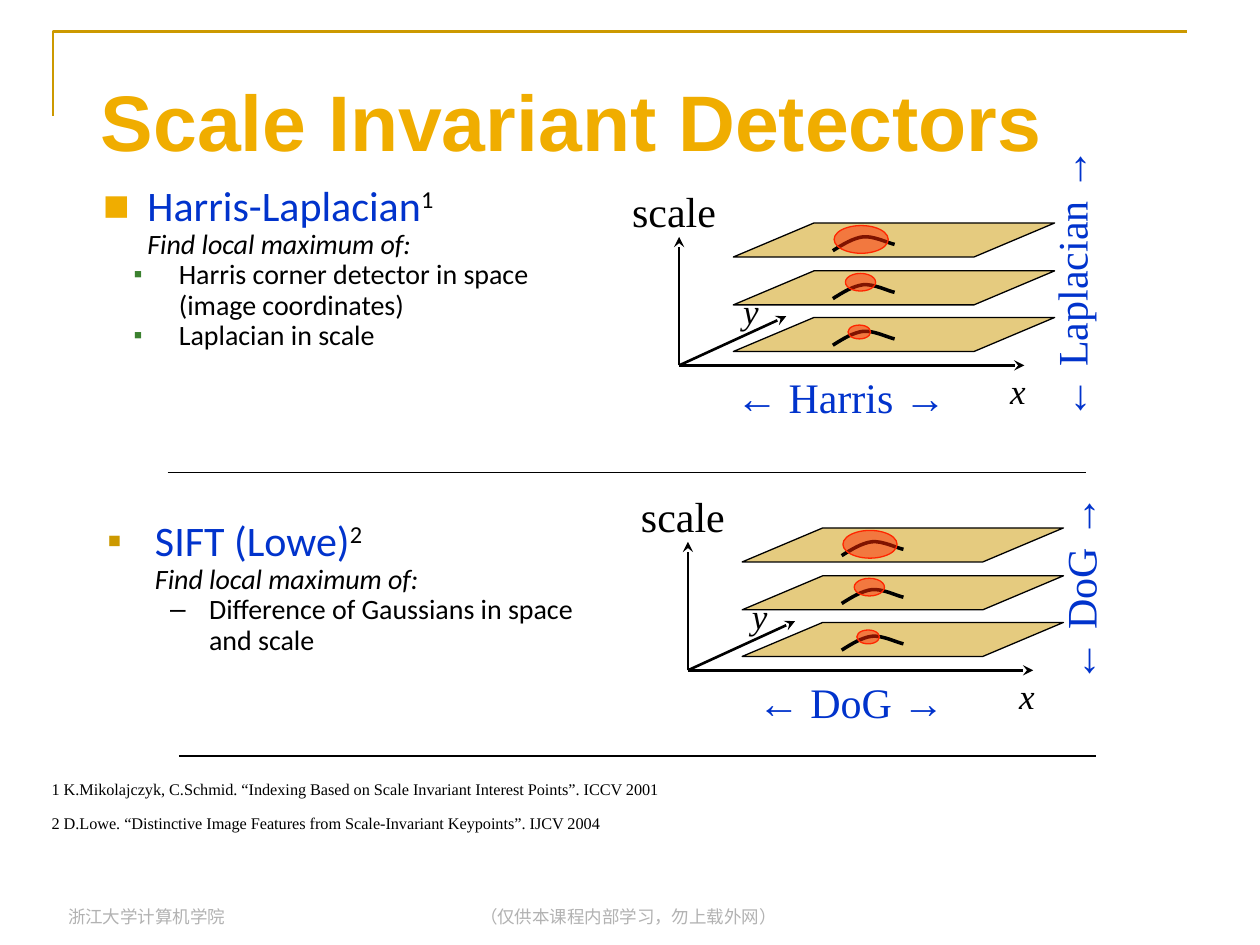
from lxml.etree import SubElement
from pptx import Presentation
from pptx.dml.color import RGBColor
from pptx.enum.shapes import MSO_CONNECTOR, MSO_SHAPE
from pptx.enum.text import MSO_ANCHOR as ANCHOR, MSO_AUTO_SIZE as AUTO, PP_ALIGN as ALIGN
from pptx.oxml.ns import qn
from pptx.util import Emu, Pt

SCALE = 9144  # EMU per px, 100 px to the inch
SERIF, SANS, BODY = "Times New Roman", "Arial", "Calibri"
BLACK, BLUE, GOLD, OCHRE = "000000", "0133CC", "F0AD00", "CC9900"
GREEN, RED, GREY = "3B812F", "FF2600", "B2B2B2"


def px(n):
    return Emu(round(n * SCALE))


def rgb(value):
    return RGBColor.from_string(value)


def font(size, name, color=BLACK, **more):
    return {"size": Pt(size), "name": name, "color": color, **more}


def bezier(p0, p1, p2, p3, steps=8):
    """Points along a cubic curve, without its first point."""
    for i in range(1, steps + 1):
        t = i / steps
        u = 1 - t
        yield tuple(u**3 * a + 3 * u * u * t * b + 3 * u * t * t * c + t**3 * d
                    for a, b, c, d in zip(p0, p1, p2, p3))


class Board:
    """Holds the slide and its house style."""
    inset = 5
    hair = 0.75

    def __init__(self, slide):
        self.slide = slide
        self.shapes = slide.shapes

    def runs(self, p, items):
        """Each item is (text, format), or None for a line break."""
        for item in items:
            if item is None:
                p.add_line_break()
                continue
            text, fmt = item
            r = p.add_run()
            r.text = text
            for key, value in fmt.items():
                if key == "color":
                    r.font.color.rgb = rgb(value)
                elif key == "baseline":
                    r._r.get_or_add_rPr().set("baseline", str(value))
                else:
                    setattr(r.font, key, value)

    def frame(self, sp, **settings):
        tf = sp.text_frame
        margins = {f"margin_{side}": px(self.inset) for side in ("left", "top", "right", "bottom")}
        for key, value in {**margins, **settings}.items():
            setattr(tf, key, value)
        return tf

    def title(self, text, box, fmt):
        sp = self.shapes.title
        sp.left, sp.top, sp.width, sp.height = map(px, box)
        tf = self.frame(sp, vertical_anchor=ANCHOR.MIDDLE, word_wrap=True, auto_size=AUTO.NONE)
        tf.paragraphs[0].alignment = ALIGN.LEFT
        self.runs(tf.paragraphs[0], [(text, fmt)])

    def text(self, box, items, align=ALIGN.LEFT, wrap=True, turn=0):
        sp = self.shapes.add_textbox(*map(px, box))
        sp.rotation = turn
        tf = self.frame(sp, word_wrap=wrap, auto_size=AUTO.SHAPE_TO_FIT_TEXT)
        tf.paragraphs[0].alignment = align
        self.runs(tf.paragraphs[0], items)

    def label(self, box, items, turn=0):
        self.text(box, items, ALIGN.CENTER, False, turn)

    def bullets(self, box, paragraphs):
        """Each paragraph is (level, indent, hang, bullet, colour, percent, runs)."""
        sp = self.shapes.add_textbox(*map(px, box))
        tf = self.frame(sp, word_wrap=True, auto_size=AUTO.NONE)
        for i, (level, indent, hang, mark, color, pct, items) in enumerate(paragraphs):
            p = tf.add_paragraph() if i else tf.paragraphs[0]
            p.level, p.line_spacing, p.space_before = level, 0.9, Pt(0)
            pPr = p._p.get_or_add_pPr()
            pPr.set("marL", str(px(indent)))
            pPr.set("indent", str(px(-hang)))
            SubElement(SubElement(pPr, qn("a:buClr")), qn("a:srgbClr")).set("val", color)
            SubElement(pPr, qn("a:buSzPct")).set("val", str(pct * 1000))
            SubElement(pPr, qn("a:buFont")).set("typeface", SANS)
            SubElement(pPr, qn("a:buChar")).set("char", mark)
            self.runs(p, items)

    def paint(self, sp, fill, line, width):
        """Half-transparent fill, or none, and a plain outline."""
        sp.shadow.inherit = False
        if fill:
            sp.fill.solid()
            sp.fill.fore_color.rgb = rgb(fill)
            color = sp._element.spPr.find(qn("a:solidFill"))[0]
            SubElement(color, qn("a:alpha")).set("val", "50000")
        else:
            sp.fill.background()
        sp.line.color.rgb = rgb(line)
        sp.line.width = Pt(width)

    def outline(self, points, line=BLACK, width=hair, fill=None):
        start, *rest = [(px(x), px(y)) for x, y in points]
        fb = self.shapes.build_freeform(*start, scale=1.0)
        fb.add_line_segments(rest, close=bool(fill))
        self.paint(fb.convert_to_shape(), fill, line, width)

    def ellipse(self, box, color):
        sp = self.shapes.add_shape(MSO_SHAPE.OVAL, *map(px, box))
        self.paint(sp, color, color, self.hair)

    def line(self, x1, y1, x2, y2, width=hair, arrow=False):
        c = self.shapes.add_connector(MSO_CONNECTOR.STRAIGHT, *map(px, (x1, y1, x2, y2)))
        c.line.color.rgb = rgb(BLACK)
        c.line.width = Pt(width)
        spPr = c._element.spPr
        if arrow:
            SubElement(spPr.find(qn("a:ln")), qn("a:tailEnd")).set("type", "stealth")
        SubElement(spPr, qn("a:effectLst"))

    def scale_space(self, x, y):
        """Axes and three stacked image planes; (x, y) is the axes' origin."""
        for dx, dy in ((0, -102), (274, 0), (85, -39)):
            self.line(x, y, x + dx, y + dy, 1.5, arrow=True)
        italic = font(20, SERIF, italic=True)
        for text, dx, dy, w, h, fmt in (("scale", -43, -148, 78, 46, font(24, SERIF)),
                                        ("x", 257, -2, 24, 41, italic),
                                        ("y", 45, -65, 24, 41, italic)):
            self.label((x + dx, y + dy, w, h), [(text, fmt)])
        # Planes from the bottom up, each with its detected region
        for dy, (ex, ey, ew, eh) in ((-38, (134, 6, 18, 11)),
                                     (-75, (132, 2, 24, 14)),
                                     (-113, (123, 2, 43, 22))):
            top = y + dy
            self.outline([(x + dx, top + d) for dx, d in
                          ((107, 0), (43, 27), (234, 27), (298, 0))], fill=OCHRE)
            a, b, c, d, e, f, g = [(x + dx, top + d) for dx, d in (
                (122, 22), (130, 17), (138, 12), (146, 11), (154, 10), (166, 16), (171, 17))]
            self.outline([a, *bezier(a, b, c, d), *bezier(d, e, f, g)], width=2)
            self.ellipse((x + ex, top + ey, ew, eh), RED)


def arrowed(word):
    arrow, name = font(24, SANS, BLUE), font(24, SERIF, BLUE)
    return [("←", arrow), (f" {word} ", name), ("→", arrow)]


def heading(name, number):
    return [(name, font(24, BODY, BLUE)), (number, font(24, BODY, baseline=30000)), None,
            ("Find local maximum of:", font(16, BODY, italic=True))]


def main():
    prs = Presentation()
    prs.slide_width, prs.slide_height = px(1000), px(750)
    s = Board(prs.slides.add_slide(prs.slide_layouts[5]))

    # Corner rule and footer
    s.outline([(42, 92), (42, 25), (942, 25)], OCHRE, 1.5)
    footer = font(10, SERIF, GREY)
    s.text((49, 714, 253, 29), [("浙江大学计算机学院", footer)])
    s.text((376, 714, 305, 29), [("（仅供本课程内部学习，勿上载外网）", footer)])

    s.title("Scale Invariant Detectors", (75, 33, 850, 125), font(45, SANS, GOLD, bold=True))

    # Detector descriptions
    plain = font(16, BODY)
    s.bullets((64, 142, 403, 146), [
        (0, 48, 35, "◼", GOLD, 100, heading("Harris-Laplacian", "1")),
        *((1, 73, 36, "▪", GREEN, 90, [(text, plain)]) for text in (
            "Harris corner detector in space (image coordinates)", "Laplacian in scale")),
    ])
    s.bullets((80, 408, 411, 115), [
        (0, 38, 38, "▪", OCHRE, 100, heading("SIFT (Lowe)", "2")),
        (1, 81, 31, "–", BLACK, 100, [("Difference of Gaussians in space and scale", plain)]),
    ])

    # Scale-space diagrams with the operator used along each direction
    for origin, across, across_box, up, up_box in (
            ((539, 290), "Harris", (579, 290, 177, 49), "Laplacian", (737, 201, 225, 49)),
            ((546, 532), "DoG", (596, 532, 159, 49), "DoG", (777, 443, 159, 49))):
        s.scale_space(*origin)
        s.label(across_box, arrowed(across))
        s.label(up_box, arrowed(up), turn=270)

    # Dividers
    s.line(133, 375, 862, 375)
    s.line(142, 600, 870, 600)

    # References
    note = font(16, SERIF, baseline=30000)
    s.text((36, 611, 840, 60), [
        ("1 K.Mikolajczyk, C.Schmid. “Indexing Based on Scale Invariant Interest Points”. ICCV 2001", note),
        None,
        ("2 D.Lowe. “Distinctive Image Features from Scale-Invariant Keypoints”. IJCV 2004", note),
    ], wrap=False)

    prs.save("out.pptx")


if __name__ == "__main__":
    main()
